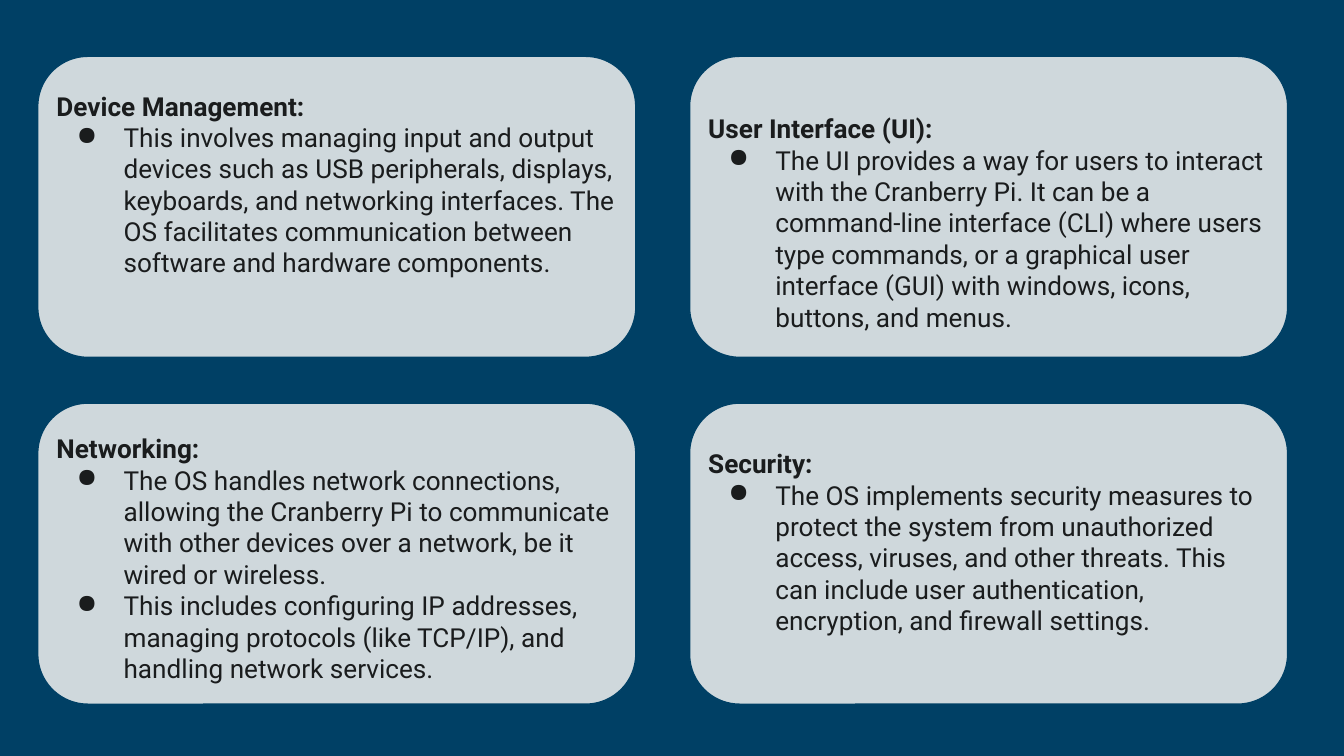
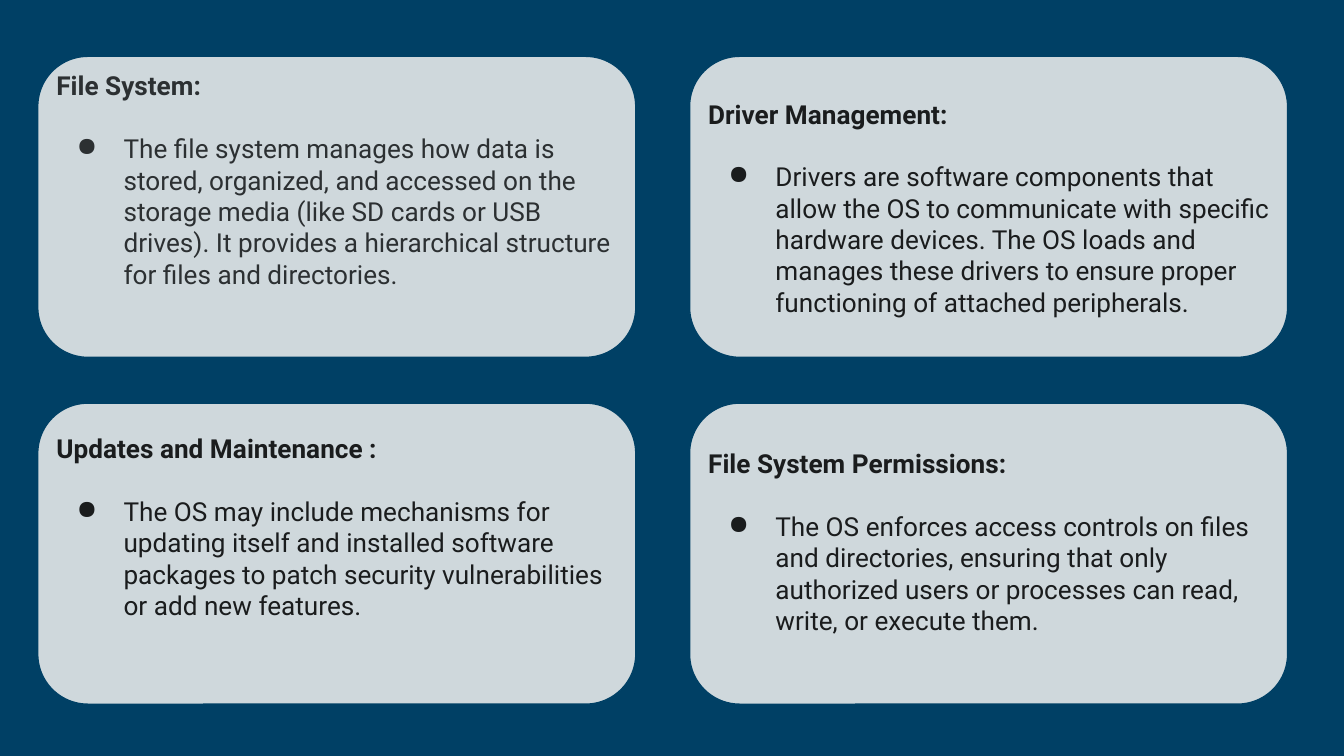
from lxml import etree
from pptx import Presentation
from pptx.dml.color import RGBColor
from pptx.enum.shapes import MSO_SHAPE
from pptx.oxml.ns import qn
from pptx.util import Pt

PANEL = MSO_SHAPE.FLOWCHART_ALTERNATE_PROCESS
BLUE, GREY = "004065", "CFD8DC"
DARK, SOFT = "1A1C1D", "2C3032"
LEFT, TOP = 20.2, 30.2
WIDTH, HEIGHT = 320.4, 161.3
STEP_X, STEP_Y = 349.2, 185.8
INSET, TEXT_W, TEXT_H = 2.9, 315.4, 119.5
LINE = 16.8
BODY = {"name": "Roboto", "size": Pt(14), "bold": False}
HEAD = {**BODY, "bold": True}

# Each card: heading, points, text offset from the panel top, text colour.
# Cards run left to right, then down; gap is the space under the headings.
SLIDES = [
    {"gap": 0, "cards": [
        ("Device Management:", [
            "This involves managing input and output devices such as USB "
            "peripherals, displays, keyboards, and networking interfaces. "
            "The OS facilitates communication between software and hardware "
            "components."], 10.8, DARK),
        ("User Interface (UI):", [
            "The UI provides a way for users to interact with the Cranberry "
            "Pi. It can be a command-line interface (CLI) where users type "
            "commands, or a graphical user interface (GUI) with windows, "
            "icons, buttons, and menus."], 23, DARK),
        ("Networking:", [
            "The OS handles network connections, allowing the Cranberry Pi "
            "to communicate with other devices over a network, be it wired "
            "or wireless.",
            "This includes configuring IP addresses, managing protocols "
            "(like TCP/IP), and handling network services."], 8.6, DARK),
        ("Security:", [
            "The OS implements security measures to protect the system from "
            "unauthorized access, viruses, and other threats. This can "
            "include user authentication, encryption, and firewall "
            "settings."], 16.6, DARK),
    ]},
    {"gap": LINE, "cards": [
        ("File System:", [
            "The file system manages how data is stored, organized, and "
            "accessed on the storage media (like SD cards or USB drives). It "
            "provides a hierarchical structure for files and directories."],
         0, SOFT),
        ("Driver Management:", [
            "Drivers are software components that allow the OS to "
            "communicate with specific hardware devices. The OS loads and "
            "manages these drivers to ensure proper functioning of attached "
            "peripherals."], 15.1, DARK),
        ("Updates and Maintenance :", [
            "The OS may include mechanisms for updating itself and installed "
            "software packages to patch security vulnerabilities or add new "
            "features."], 8.6, DARK),
        ("File System Permissions:", [
            "The OS enforces access controls on files and directories, "
            "ensuring that only authorized users or processes can read, "
            "write, or execute them."], 16.6, DARK),
    ]},
]


def paint(target, color):
    """Give a fill a solid colour."""
    target.solid()
    target.fore_color.rgb = RGBColor.from_string(color)


def style(font, form, color):
    for key, value in form.items():
        setattr(font, key, value)
    paint(font.fill, color)


def add_bullet(para, color):
    props = para._p.get_or_add_pPr()
    props.set("marL", str(Pt(36)))
    props.set("indent", str(-Pt(25.2)))
    tint = etree.SubElement(props, qn("a:buClr"))
    etree.SubElement(tint, qn("a:srgbClr"), val=color)
    etree.SubElement(props, qn("a:buChar"), char="●")


def add_panel(slide, left, top):
    panel = slide.shapes.add_shape(
        PANEL, Pt(left), Pt(top), Pt(WIDTH), Pt(HEIGHT))
    panel.shadow.inherit = False
    paint(panel.fill, GREY)
    paint(panel.line.fill, BLUE)
    panel.line.width = Pt(0.75)


def add_text(slide, left, top, head, points, color, gap):
    box = slide.shapes.add_textbox(
        Pt(left), Pt(top), Pt(TEXT_W), Pt(TEXT_H))
    frame = box.text_frame
    frame.word_wrap = True
    for side in ("left", "top", "right", "bottom"):
        setattr(frame, f"margin_{side}", Pt(7.2))
    title = frame.paragraphs[0]
    title.text = head
    title.space_after = Pt(gap)
    style(title.font, HEAD, color)
    for point in points:
        para = frame.add_paragraph()
        para.text = point
        add_bullet(para, color)
        style(para.font, BODY, color)


def add_cards(slide, cards, gap):
    for index, (head, points, drop, color) in enumerate(cards):
        row, col = divmod(index, 2)
        left, top = LEFT + col * STEP_X, TOP + row * STEP_Y
        add_panel(slide, left, top)
        add_text(slide, left + INSET, top + drop, head, points, color, gap)


def main():
    deck = Presentation()
    deck.slide_width, deck.slide_height = Pt(720), Pt(405)
    paint(deck.slide_master.background.fill, BLUE)
    blank = deck.slide_layouts[6]
    for page in SLIDES:
        add_cards(deck.slides.add_slide(blank), page["cards"], page["gap"])
    deck.save("out.pptx")


if __name__ == "__main__":
    main()
